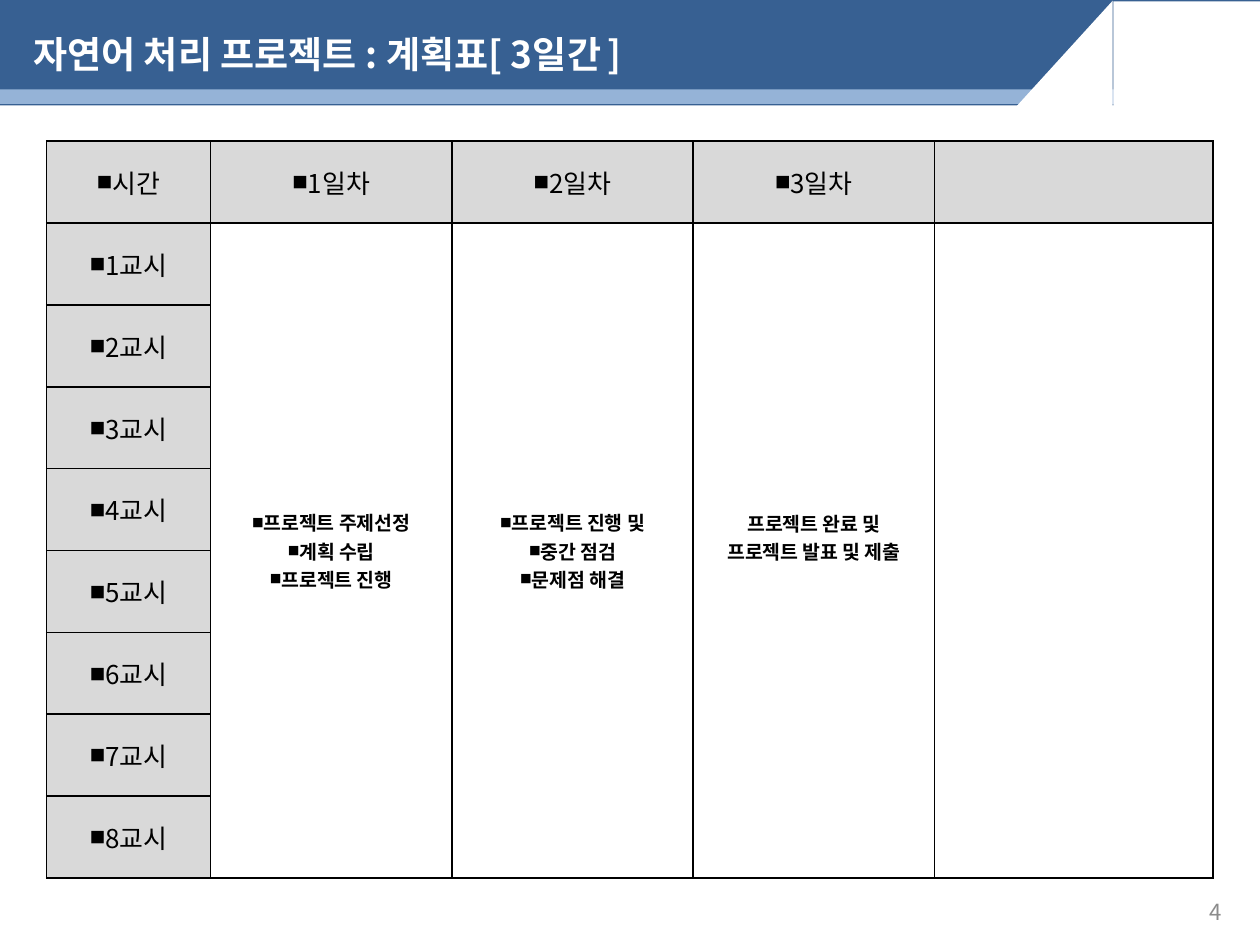
"""Build the three-day timetable slide for a language processing project."""
from lxml import etree
from pptx import Presentation
from pptx import util as u
from pptx.dml.color import RGBColor
from pptx.enum import shapes, text
from pptx.oxml import ns

FONT = "Noto Sans CJK KR"
WIDTH, HEIGHT = u.Inches(9.45), u.Inches(7.09)
CENTER, RIGHT, LEFT = text.PP_ALIGN.CENTER, text.PP_ALIGN.RIGHT, text.PP_ALIGN.LEFT


def paint(fill, color):
    fill.solid()
    fill.fore_color.rgb = RGBColor.from_string(color)


def write(frame, lines, size, color, align=CENTER, bold=False, bullet=False):
    frame.word_wrap = True
    for index, line in enumerate(lines):
        para = frame.paragraphs[0] if index == 0 else frame.add_paragraph()
        para.alignment = align
        if bullet:
            props = para._p.get_or_add_pPr()
            props.set("marL", "0")
            props.set("indent", "0")
            for tag, key, value in (("buSzPct", "val", "60000"),
                                    ("buFont", "typeface", FONT),
                                    ("buChar", "char", "■")):
                etree.SubElement(props, ns.qn(f"a:{tag}")).set(key, value)
        for content, points in line if isinstance(line, list) else [(line, size)]:
            span = para.add_run()
            span.text = content
            for name, value in {"size": u.Pt(points), "bold": bold, "name": FONT}.items():
                setattr(span.font, name, value)
            paint(span.font.fill, color)
            etree.SubElement(span.font._element, ns.qn("a:ea")).set("typeface", FONT)


deck = Presentation()
deck.slide_width, deck.slide_height = WIDTH, HEIGHT
page = deck.slides.add_slide(deck.slide_layouts[6])

RECT, TRIANGLE = shapes.MSO_SHAPE.RECTANGLE, shapes.MSO_SHAPE.RIGHT_TRIANGLE
for kind, left, top, width, height, color, turn in (
        (RECT, 0, 0, 9.45, 0.79, "376092", 0),
        (RECT, 0, 0.67, 9.45, 0.11, "95B3D7", 0),
        (RECT, 8.35, 0.01, 1.1, 0.79, "FFFFFF", 0),
        (TRIANGLE, 6.96, 0.07, 1.45, 1.32, "FFFFFF", 270)):
    band = page.shapes.add_shape(kind, *map(u.Inches, (left, top, width, height)))
    band.shadow.inherit = False
    band.rotation = turn
    band.line.fill.background()
    paint(band.fill, color)

title = [("자연어 처리 프로젝트 : 계획표[ 3일간", 20), (" ", 16), ("]", 20)]
for place, line, size, color, align, bold in (
        ((0.15, 0.19, 7.65, 0.43), title, 20, "FFFFFF", LEFT, True),
        ((6.93, 6.64, 2.33, 0.4), "4", 12, "8C8C8C", RIGHT, False)):
    box = page.shapes.add_textbox(*map(u.Inches, place))
    box.text_frame.vertical_anchor = text.MSO_ANCHOR.MIDDLE
    write(box.text_frame, [line], size, color, align, bold)

headings = ["시간", "1일차", "2일차", "3일차", ""]
periods = [f"{number}교시" for number in range(1, 9)]
plans = [["프로젝트 주제선정", "계획 수립", "프로젝트 진행"],
         ["프로젝트 진행 및", "중간 점검", "문제점 해결"],
         ["프로젝트 완료 및", "프로젝트 발표 및 제출"]]
table = page.shapes.add_table(len(periods) + 1, len(headings), *map(
    u.Inches, (0.35, 1.06, 8.75, 5.53))).table
for column, width in zip(table.columns, (1.23, 1.81, 1.81, 1.81, 2.09)):
    column.width = u.Inches(width)
for row in table.rows:
    row.height = u.Inches(5.53 / 9)

for row in range(len(periods) + 1):
    for column in range(len(headings)):
        cell = table.cell(row, column)
        cell.vertical_anchor = text.MSO_ANCHOR.MIDDLE
        for side in ("lnL", "lnR", "lnT", "lnB"):
            edge = etree.SubElement(cell._tc.get_or_add_tcPr(), ns.qn(f"a:{side}"), w="12700")
            solid = etree.SubElement(edge, ns.qn("a:solidFill"))
            etree.SubElement(solid, ns.qn("a:srgbClr"), val="000000")
        label = headings[column] if row == 0 else periods[row - 1] if column == 0 else ""
        paint(cell.fill, "D9D9D9" if row == 0 or column == 0 else "FFFFFF")
        if label:
            write(cell.text_frame, [label], 14, "000000", bullet=True)

for column in range(1, len(headings)):
    table.cell(1, column).merge(table.cell(len(periods), column))
for column, plan in enumerate(plans, 1):
    cell = table.cell(1, column)
    write(cell.text_frame, plan, 10.5, "000000", bold=True, bullet=column < 3)
    cell.margin_bottom = u.Inches(0.05 + 0.21 * (3 - len(plan)))

deck.save("out.pptx")
